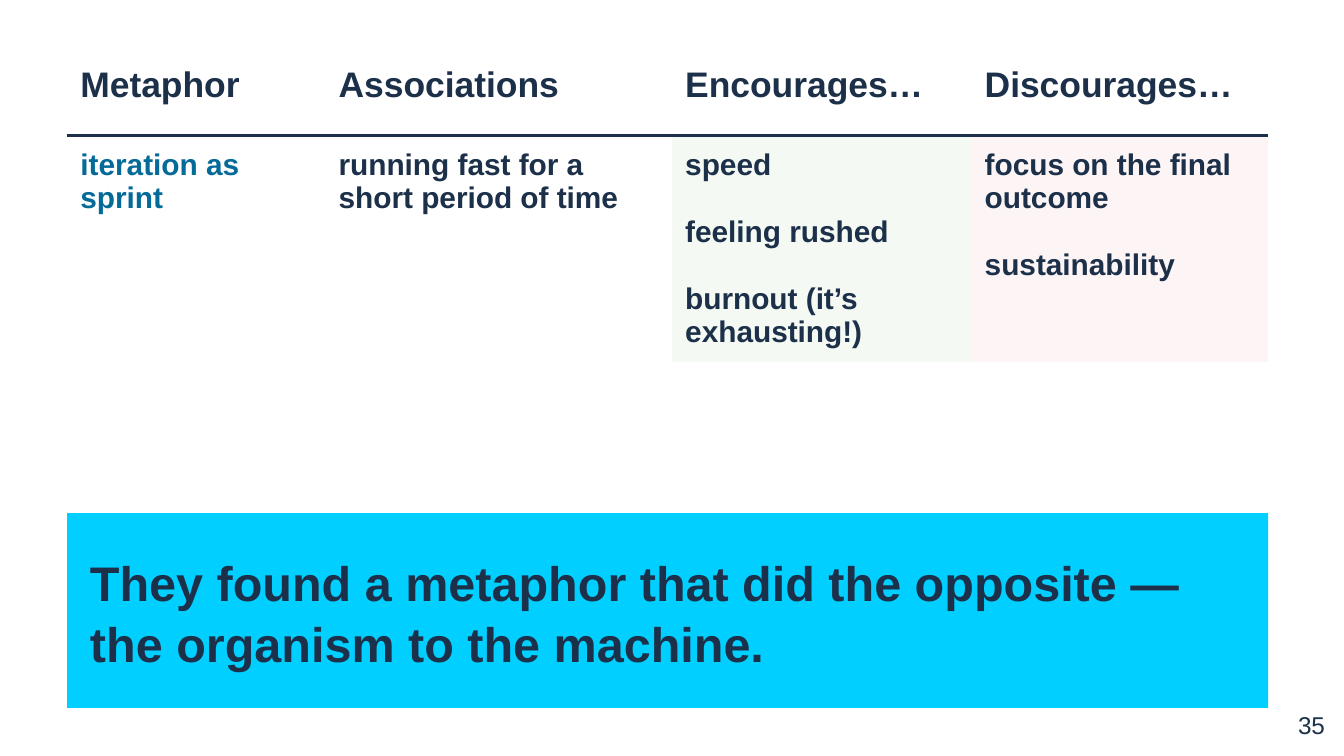
import pptx
import pptx.util
import pptx.dml.color
import pptx.enum.shapes
import pptx.enum.text
import pptx.oxml
import pptx.oxml.ns

Cm, Pt = pptx.util.Cm, pptx.util.Pt

# Content: head, column width in cm, cell paragraphs, text colour, cell fill
NAVY = "1C304A"
COLS = [
    ("Metaphor", 4.88, ["iteration as sprint"], "046B99", None),
    ("Associations", 6.55, ["running fast for a short period of time"], NAVY, None),
    ("Encourages…", 5.66, ["speed", "feeling rushed", "burnout (it’s exhausting!)"],
     NAVY, "F4FAF3"),
    ("Discourages…", 5.61, ["focus on the final outcome", "sustainability"],
     NAVY, "FDF5F5"),
]
CLAIM = "They found a metaphor that did the opposite — the organism to the machine."
PAGE = "35"

LEFT, TOP = 1.27, 0.99
ROWS = [1.57, 4.25]
WIDTH = sum(col[1] for col in COLS)
PAD = 0.25
PLAIN = "{2D5ABB26-0587-4C30-8999-92F81FD0307C}"


def color(code):
    return pptx.dml.color.RGBColor.from_string(code)


def place(left, top, width, height):
    return Cm(left), Cm(top), Cm(width), Cm(height)


def write(frame, lines, size, code, bold=True, gap=0):
    frame.text = "\n".join(lines)
    for i, para in enumerate(frame.paragraphs):
        para.font.name = "Arial"
        para.font.size = Pt(size)
        para.font.bold = bold
        para.font.color.rgb = color(code)
        if gap and i:
            para.space_before = Pt(gap)


def inset(part, pad):
    part.margin_left = part.margin_right = Cm(pad)
    part.margin_top = part.margin_bottom = Cm(pad)


def rule(cell, side, code, width):
    line = pptx.oxml.parse_xml(
        f'<a:{side} {pptx.oxml.ns.nsdecls("a")} w="{Pt(width)}">'
        f'<a:solidFill><a:srgbClr val="{code}"/></a:solidFill></a:{side}>')
    cell._tc.get_or_add_tcPr().insert(0, line)


def style(cell, lines, size, code, fill=None, gap=0):
    inset(cell, PAD)
    write(cell.text_frame, lines, size, code, gap=gap)
    if fill:
        cell.fill.solid()
        cell.fill.fore_color.rgb = color(fill)
    else:
        cell.fill.background()


deck = pptx.Presentation()
deck.slide_width, deck.slide_height = Cm(25.4), Cm(14.29)
slide = deck.slides.add_slide(deck.slide_layouts[5])
shapes = slide.shapes

# Banner
band = shapes.add_shape(pptx.enum.shapes.MSO_SHAPE.RECTANGLE,
                        *place(LEFT, 9.7, WIDTH, 3.68))
band.shadow.inherit = False
band.fill.solid()
band.fill.fore_color.rgb = color("00CFFF")
band.line.fill.background()

# Title, brought in front of the banner
title = shapes.title
title.left, title.top, title.width, title.height = place(1.7, 10.41, 21.62, 3.1)
frame = title.text_frame
inset(frame, 0)
frame.word_wrap = True
frame.auto_size = pptx.enum.text.MSO_AUTO_SIZE.NONE
frame.vertical_anchor = pptx.enum.text.MSO_ANCHOR.TOP
write(frame, [CLAIM], 26, NAVY)
frame.paragraphs[0].alignment = pptx.enum.text.PP_ALIGN.LEFT
frame.paragraphs[0].line_spacing = 1.04
band._element.addnext(title._element)

# Table
grid = shapes.add_table(len(ROWS), len(COLS), *place(LEFT, TOP, WIDTH, sum(ROWS)))
table = grid.table
table.first_row = table.horz_banding = False
table._tbl.tblPr.find(pptx.oxml.ns.qn("a:tableStyleId")).text = PLAIN
for row, height in zip(table.rows, ROWS):
    row.height = Cm(height)
for i, (head, width, lines, code, fill) in enumerate(COLS):
    table.columns[i].width = Cm(width)
    style(table.cell(0, i), [head], 19, NAVY)
    style(table.cell(1, i), lines, 16, code, fill, gap=18)
    rule(table.cell(0, i), "lnB", NAVY, 2.25)
    rule(table.cell(1, i), "lnT", NAVY, 2.25)

# Page number
page = shapes.add_textbox(*place(23.77, 13.18, 1.52, 1.09)).text_frame
inset(page, PAD)
page.word_wrap = True
write(page, [PAGE], 13, NAVY, bold=False)
page.paragraphs[0].alignment = pptx.enum.text.PP_ALIGN.RIGHT

deck.save("out.pptx")
